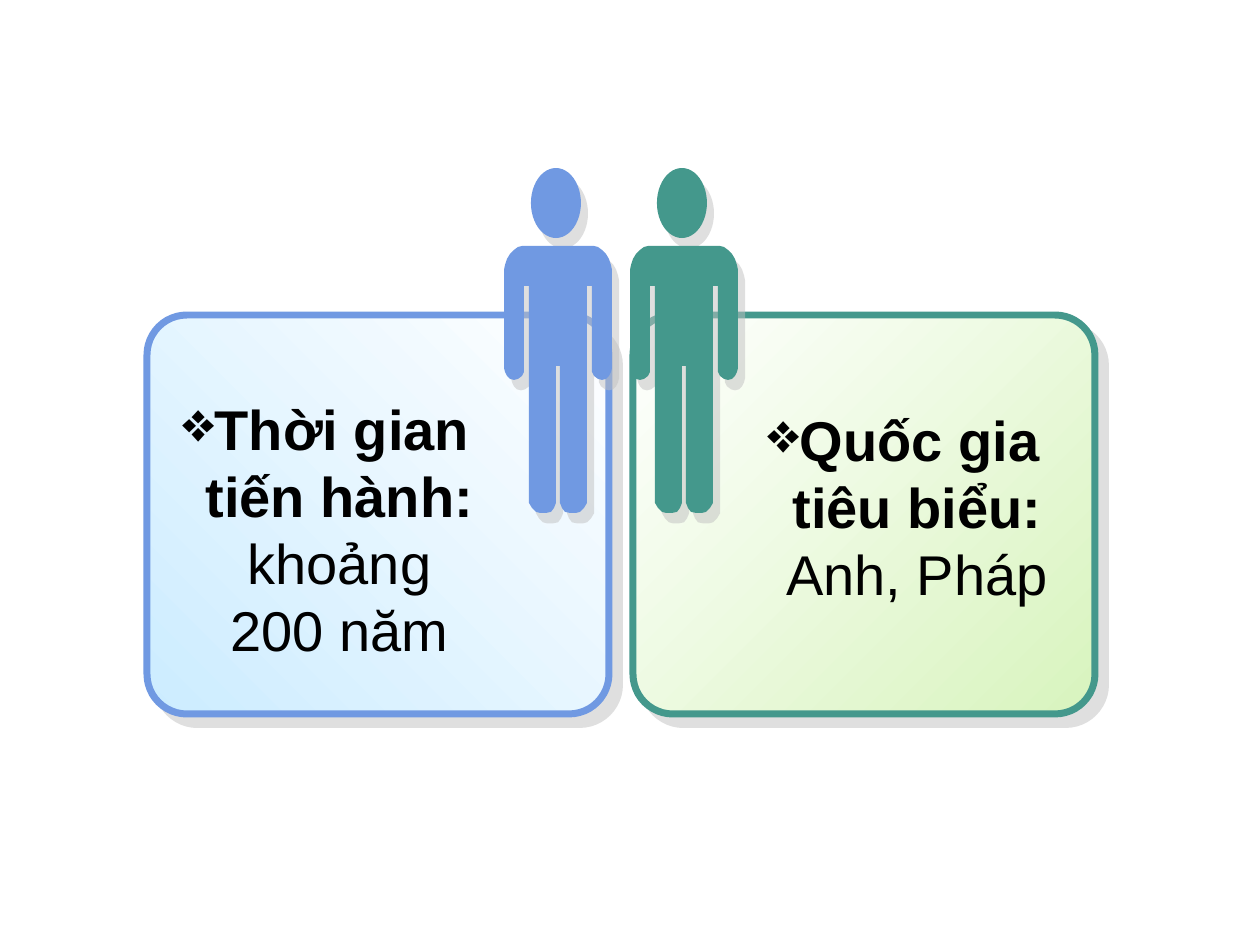
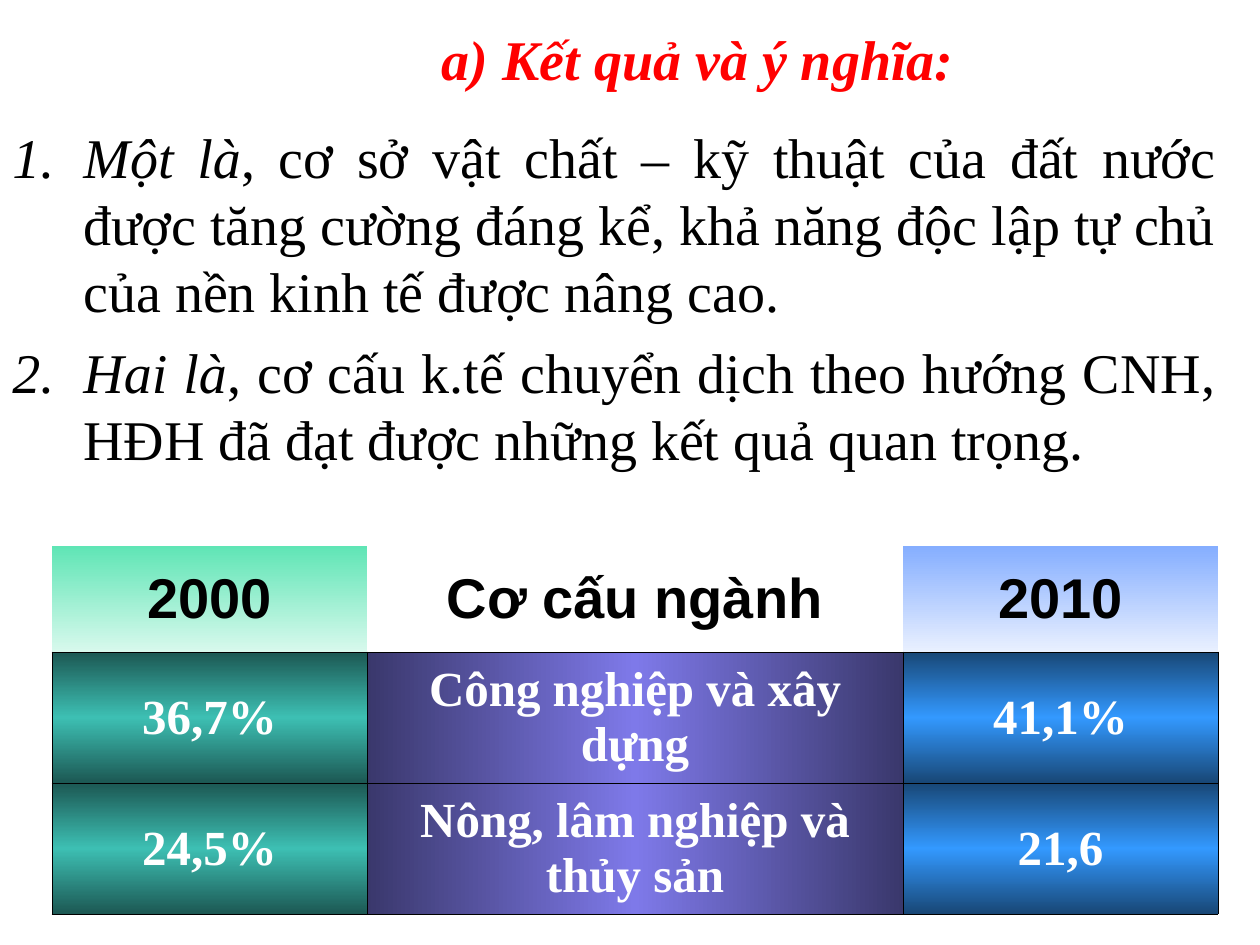
from lxml import etree
from pptx import Presentation
from pptx import util as u
from pptx.dml.color import RGBColor
from pptx.enum import shapes, text
from pptx.oxml import ns

SCALE = 914400 / 126  # EMU per px
SLIDE_SIZE = (1260, 945)
BLACK, WHITE, RED, SHADE = "000000", "FFFFFF", "FF0000", "C0C0C0"
BLUE, GREEN = "7099E2", "44988C"
SANS, SERIF = "Arial", "Times New Roman"
CENTER, JUSTIFY = text.PP_ALIGN.CENTER, text.PP_ALIGN.JUSTIFY
MIDDLE, TOP = text.MSO_ANCHOR.MIDDLE, text.MSO_ANCHOR.TOP

# Left half of the body outline: shoulder, arm, then leg
BODY_WIDTH = 108
HALF_BODY = [
    (18, 0), (14, 1), (10, 4), (6, 8), (3, 13), (1, 19), (0, 24), (0, 122),
    (1, 126), (3, 130), (6, 133), (10, 134), (14, 133), (18, 130), (20, 126),
    (20, 40), (25, 40), (25, 257), (28, 262), (32, 266), (36, 267), (42, 267),
    (47, 266), (50, 262), (52, 257), (52, 120)]

CARD_TEXT = dict(size=u.Pt(32), name=SANS)
BODY_TEXT = dict(size=u.Pt(32), name=SERIF)
TITLE_TEXT = dict(size=u.Pt(32), name=SERIF, bold=True, italic=True)
HEAD_TEXT = dict(size=u.Pt(32), name=SANS, bold=True)
CELL_TEXT = dict(size=u.Pt(28), name=SERIF, bold=True)
LIST_LINE = u.Pt(38.4)

TEAL_BARS = ["1C5853", "3DBFB3", "1C5853"]
VIOLET_BARS = ["3A386C", "7E79E9", "3A386C"]
AZURE_BARS = ["184776", "3399FF", "184776"]


def px(length):
    return u.Emu(round(length * SCALE))


def emu_box(box):
    return [px(length) for length in box]


def color(hex_value):
    return RGBColor.from_string(hex_value)


def child(parent, tag, **attributes):
    node = etree.SubElement(parent, ns.qn(tag))
    for key, value in attributes.items():
        node.set(key, str(value))
    return node


def gradient(filled, properties, colors, angle):
    """Replace a solid fill with evenly spaced gradient stops."""
    filled.fill.solid()
    solid = properties.find(ns.qn("a:solidFill"))
    grad = etree.Element(ns.qn("a:gradFill"), rotWithShape="1")
    stops = child(grad, "a:gsLst")
    for i, stop in enumerate(colors):
        node = child(stops, "a:gs", pos=100000 * i // (len(colors) - 1))
        child(node, "a:srgbClr", val=stop)
    child(grad, "a:lin", ang=angle * 60000, scaled=0)
    properties.replace(solid, grad)


def drop_shadow(shape, distance, angle):
    shape.shadow.inherit = False
    effects = shape._element.spPr.find(ns.qn("a:effectLst"))
    shadow = child(effects, "a:outerShdw", blurRad=0, dist=u.Pt(distance),
                   dir=angle * 60000, algn="ctr", rotWithShape=0)
    child(child(shadow, "a:srgbClr", val=SHADE), "a:alpha", val=50000)


def add_run(paragraph, words, style, ink=BLACK, **extra):
    run = paragraph.add_run()
    run.text = words
    for key, value in {**style, **extra}.items():
        setattr(run.font, key, value)
    run.font.color.rgb = color(ink)


def add_bullet(paragraph, tag, hang, **attributes):
    props = paragraph._p.get_or_add_pPr()
    props.set("marL", str(px(hang)))
    props.set("indent", str(-px(hang)))
    child(child(props, "a:buClr"), "a:srgbClr", val=BLACK)
    child(props, tag, **attributes)


def text_frame(slide, box, anchor=TOP):
    frame = slide.shapes.add_textbox(*emu_box(box)).text_frame
    frame.word_wrap = True
    frame.vertical_anchor = anchor
    return frame


# Slide 1: cards with standing figures
def card(slide, box, edge, colors, angle):
    panel = slide.shapes.add_shape(shapes.MSO_SHAPE.ROUNDED_RECTANGLE, *emu_box(box))
    panel.adjustments[0] = 0.1
    gradient(panel, panel._element.spPr, colors, angle)
    panel.line.color.rgb = color(edge)
    panel.line.width = u.Pt(4)
    drop_shadow(panel, 8.5, 45)


def figure(slide, left, top, ink):
    head = slide.shapes.add_shape(shapes.MSO_SHAPE.OVAL,
                                  *emu_box((left + 27, top, 50, 70)))
    mirrored = [(BODY_WIDTH - x, y) for x, y in reversed(HALF_BODY)]
    outline = [(left + x, top + 78 + y) for x, y in HALF_BODY + mirrored]
    builder = slide.shapes.build_freeform(*outline[0], scale=SCALE)
    builder.add_line_segments(outline[1:], close=True)
    for part in (head, builder.convert_to_shape()):
        part.fill.solid()
        part.fill.fore_color.rgb = color(ink)
        part.line.fill.background()
        drop_shadow(part, 7.2, 56)


def card_caption(slide, box, label, answer):
    paragraph = text_frame(slide, box).paragraphs[0]
    add_bullet(paragraph, "a:buChar", 27, char="❖")
    paragraph.alignment = CENTER
    paragraph.line_spacing = LIST_LINE
    add_run(paragraph, label + " ", CARD_TEXT, bold=True)
    add_run(paragraph, answer, CARD_TEXT, bold=False)


def cards_slide(slide):
    card(slide, (147, 315, 462, 399), BLUE, ["CCECFF", WHITE], 315)
    figure(slide, 504, 168, BLUE)
    card_caption(slide, (158, 388, 336, 282), "Thời gian tiến hành:", "khoảng 200 năm")
    card(slide, (633, 315, 462, 399), GREEN, [WHITE, "D8F4BE"], 45)
    card_caption(slide, (725, 399, 357, 214), "Quốc gia tiêu biểu:", "Anh, Pháp")
    figure(slide, 630, 168, GREEN)


# Slide 2: title, numbered results and table of sectors
def title(slide, box, words):
    paragraph = text_frame(slide, box, MIDDLE).paragraphs[0]
    paragraph.alignment = CENTER
    add_run(paragraph, words, TITLE_TEXT, RED)


def numbered_results(slide, box, results):
    frame = text_frame(slide, box)
    for i, (opening, rest) in enumerate(results):
        paragraph = frame.add_paragraph() if i else frame.paragraphs[0]
        add_bullet(paragraph, "a:buAutoNum", 71, type="arabicPeriod")
        paragraph.alignment = JUSTIFY
        paragraph.line_spacing = LIST_LINE
        if i:
            paragraph.space_before = u.Pt(8)
        add_run(paragraph, opening, BODY_TEXT, italic=True)
        add_run(paragraph, rest, BODY_TEXT, italic=False)


def cell_borders(properties, visible):
    for side in "LRTB":
        edge = child(properties, "a:ln" + side, w=u.Pt(0.45))
        if side in visible:
            child(child(edge, "a:solidFill"), "a:srgbClr", val=BLACK)
        else:
            child(edge, "a:noFill")


def sector_table(slide, box, columns, heights, rows):
    table = slide.shapes.add_table(len(rows), len(columns), *emu_box(box)).table
    table.first_row = table.horz_banding = False
    for column, width in zip(table.columns, columns):
        column.width = px(width)
    for row, height in zip(table.rows, heights):
        row.height = px(height)
    head_fills = [(["5FE5B5", "D8F9ED"], 90), None, (["85AEFF", "E9F0FF"], 90)]
    body_fills = [(TEAL_BARS, 90), (VIOLET_BARS, 0), (AZURE_BARS, 90)]
    for r, row in enumerate(rows):
        fills = body_fills if r else head_fills
        style, ink = (CELL_TEXT, WHITE) if r else (HEAD_TEXT, BLACK)
        for c, words in enumerate(row):
            cell = table.cell(r, c)
            properties = cell._tc.get_or_add_tcPr()
            cell_borders(properties, "LRTB" if r else "B")
            if fills[c]:
                gradient(cell, properties, *fills[c])
            else:
                cell.fill.background()
            cell.vertical_anchor = MIDDLE
            paragraph = cell.text_frame.paragraphs[0]
            paragraph.alignment = CENTER
            add_run(paragraph, words, style, ink)


def results_slide(slide):
    title(slide, (136, 0, 1124, 116), "a) Kết quả và ý nghĩa:")
    numbered_results(slide, (0, 116, 1229, 388), [
        ("Một là", ", cơ sở vật chất – kỹ thuật của đất nước được tăng cường đáng kể, "
                   "khả năng độc lập tự chủ của nền kinh tế được nâng cao."),
        ("Hai là", ", cơ cấu k.tế chuyển dịch theo hướng CNH, HĐH đã đạt được "
                   "những kết quả quan trọng.")])
    sector_table(slide, (52, 546, 1166, 368), [315, 536, 315], [106, 131, 131], [
        ["2000", "Cơ cấu ngành", "2010"],
        ["36,7%", "Công nghiệp và xây dựng", "41,1%"],
        ["24,5%", "Nông, lâm nghiệp và thủy sản", "21,6"]])


def main():
    deck = Presentation()
    deck.slide_width, deck.slide_height = emu_box(SLIDE_SIZE)
    for build in (cards_slide, results_slide):
        build(deck.slides.add_slide(deck.slide_layouts[6]))
    deck.save("out.pptx")


if __name__ == "__main__":
    main()
